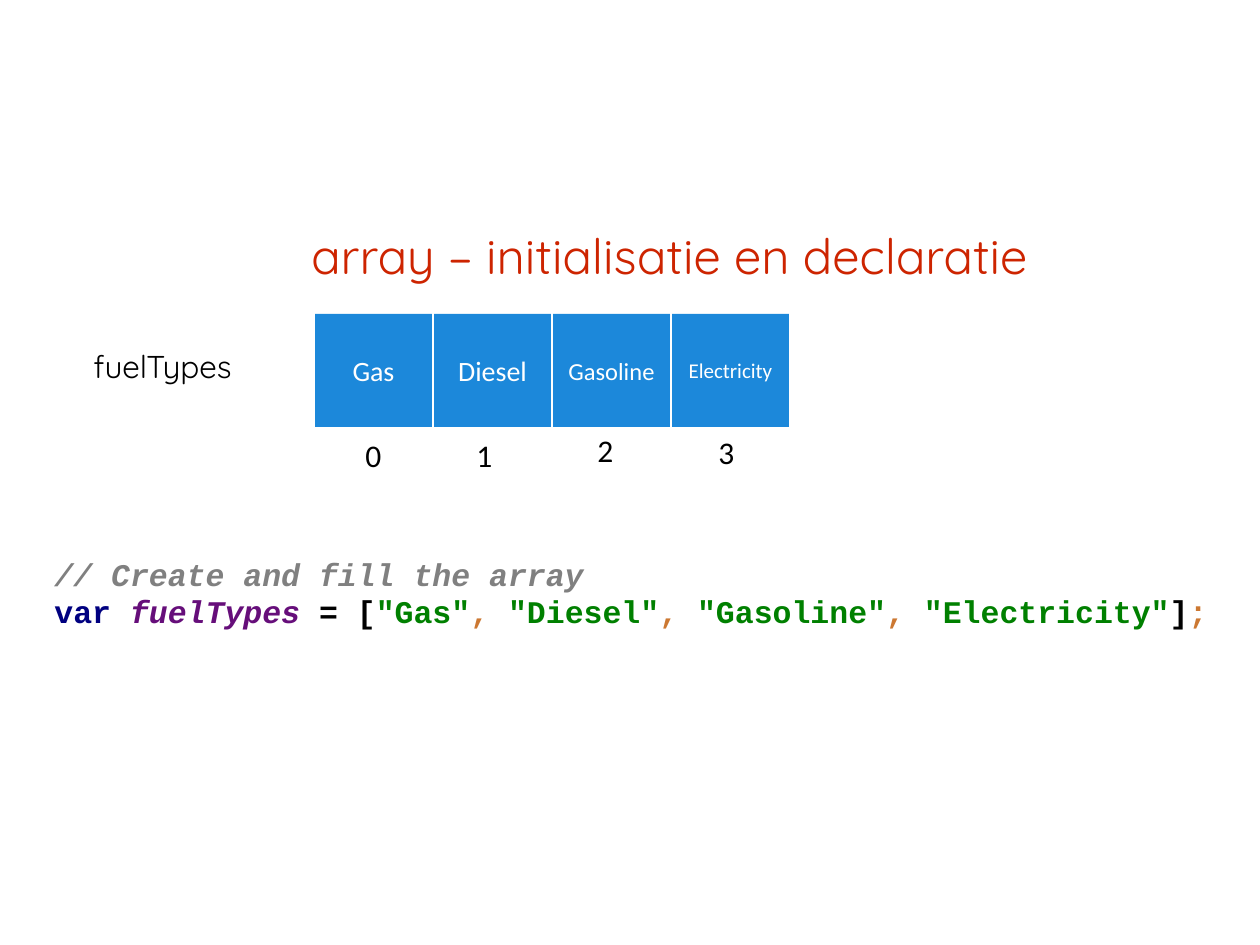
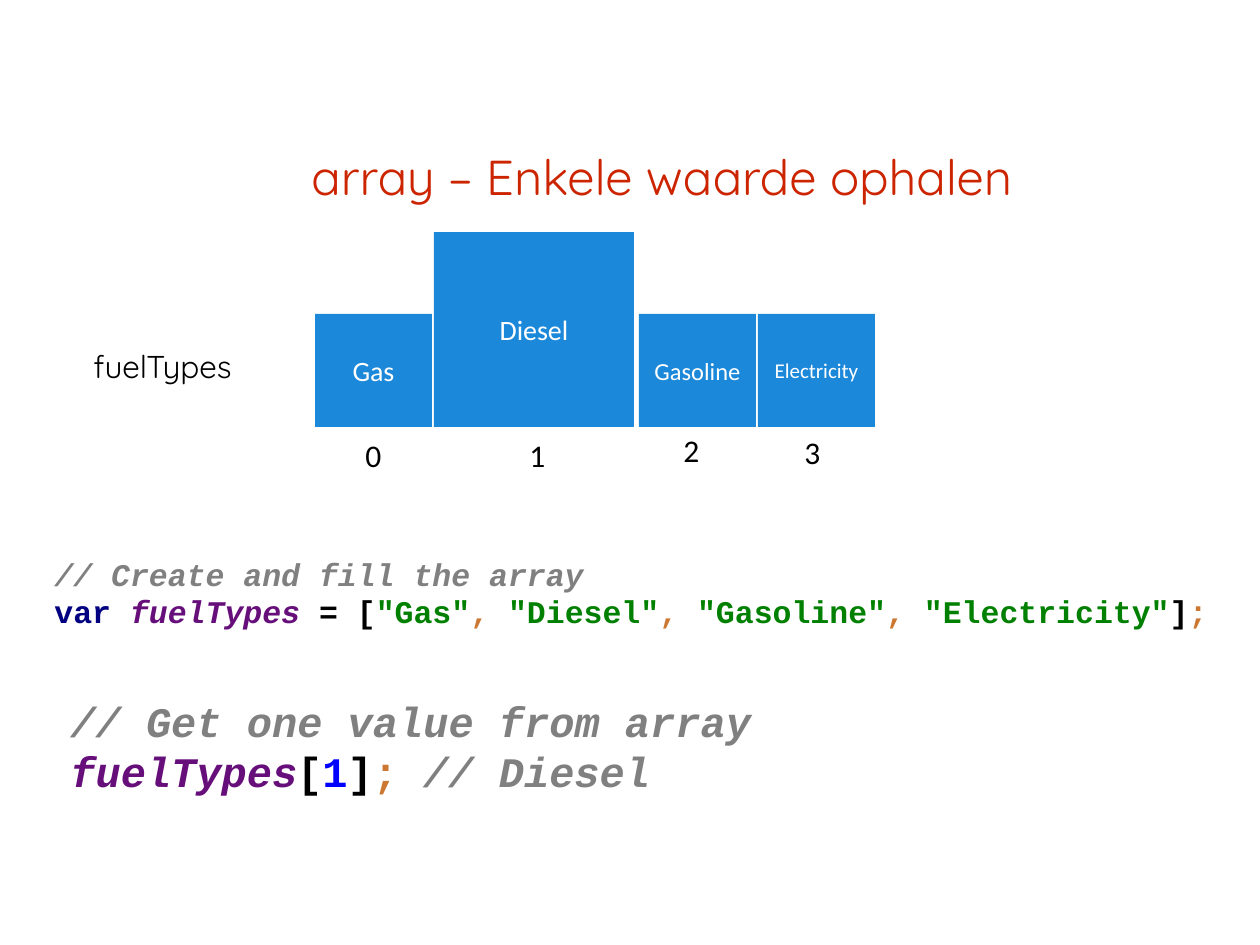
"""Build two slides on declaring an array and reading one of its values."""
from dataclasses import dataclass, replace
from typing import NamedTuple

from pptx import Presentation
from pptx.dml.color import RGBColor
from pptx.enum.shapes import MSO_SHAPE as Preset
from pptx.enum.text import MSO_ANCHOR as Anchor, MSO_AUTO_SIZE as AutoSize, PP_ALIGN as Align
from pptx.shapes.autoshape import Shape
from pptx.slide import Slide
from pptx.util import Emu, Pt

PIXEL = 914400 / 126
COLOURS = {
    "white": "FFFFFF", "black": "000000", "title": "CD2400", "cell": "1C88DA",
    "comment": "808080", "keyword": "000080", "variable": "660E7A",
    "string": "008000", "punctuation": "CC7832", "number": "0000FF",
}
ITALIC_COLOURS = ("comment", "variable")
ROW_LEFT, ROW_BOTTOM = 315, 427
INDEX_WIDTH, INDEX_HEIGHT = 42, 50


class Box(NamedTuple):
    left: int
    top: int
    width: int
    height: int


class Token(NamedTuple):
    text: str
    colour: str


@dataclass(frozen=True)
class Cell:
    value: str
    size: int
    index_offset: int
    index_top: int
    width: int = 117
    height: int = 113
    gap: int = 2


@dataclass(frozen=True)
class Code:
    box: Box
    size: int
    paragraphs: list[list[Token]]


@dataclass(frozen=True)
class ArraySlide:
    title: str
    title_box: Box
    cells: list[Cell]
    listings: list[Code]


GAS = Cell("Gas", 16, 38, 430)
DIESEL = Cell("Diesel", 16, 30, 430)
GASOLINE = Cell("Gasoline", 14, 32, 425)
ELECTRICITY = Cell("Electricity", 12, 34, 427)
CHOSEN_DIESEL = replace(DIESEL, width=200, height=195, gap=5, index_offset=83)

COMMA = Token(", ", "punctuation")
END = [Token("]", "black"), Token("; ", "punctuation")]
DECLARATION = Code(Box(42, 548, 1203, 89), 18, [[
    Token("// Create and fill the array", "comment"), Token("\n", "comment"),
    Token("var ", "keyword"), Token("fuelTypes ", "variable"), Token("= [", "black"),
    Token('"Gas"', "string"), COMMA, Token('"Diesel"', "string"), COMMA,
    Token('"Gasoline"', "string"), COMMA, Token('"Electricity"', "string"), *END,
]])
LOOKUP = Code(Box(58, 688, 712, 115), 24, [
    [Token("// Get one value from array", "comment")],
    [Token("fuelTypes", "variable"), Token("[", "black"), Token("1", "number"),
     *END, Token("// Diesel", "comment")],
])
SLIDES = [
    ArraySlide("array – initialisatie en declaratie", Box(299, 219, 782, 72),
               [GAS, DIESEL, GASOLINE, ELECTRICITY], [DECLARATION]),
    ArraySlide("array – Enkele waarde ophalen", Box(299, 140, 777, 72),
               [GAS, CHOSEN_DIESEL, GASOLINE, ELECTRICITY], [LOOKUP, DECLARATION]),
]


def px(length: float) -> Emu:
    """Turn picture pixels into EMU."""
    return Emu(round(length * PIXEL))


def rgb(colour: str) -> RGBColor:
    """Look up a named colour."""
    return RGBColor.from_string(COLOURS[colour])


def apply(target: object, values: dict[str, object]) -> None:
    """Set each named format value on the target."""
    for name, value in values.items():
        setattr(target, name, value)


def add_run(paragraph, text: str, font: str, size: int, colour: str, **style: bool) -> None:
    """Append one formatted run."""
    run = paragraph.add_run()
    run.text = text
    apply(run.font, {"name": font, "size": Pt(size), **style})
    run.font.color.rgb = rgb(colour)


def add_label(slide: Slide, box: Box, text: str, font: str, size: int, colour: str) -> None:
    """Add a single line of free text."""
    frame = slide.shapes.add_textbox(*map(px, box)).text_frame
    apply(frame, {"word_wrap": False, "auto_size": AutoSize.SHAPE_TO_FIT_TEXT})
    add_run(frame.paragraphs[0], text, font, size, colour)


def add_panel(slide: Slide, box: Box, fill: str) -> Shape:
    """Add a flat rectangle without outline."""
    panel = slide.shapes.add_shape(Preset.RECTANGLE, *map(px, box))
    panel.shadow.inherit = False
    panel.fill.solid()
    panel.fill.fore_color.rgb = rgb(fill)
    panel.line.fill.background()
    panel.text_frame.vertical_anchor = Anchor.MIDDLE
    return panel


def add_cells(slide: Slide, cells: list[Cell]) -> None:
    """Draw the array cells from left to right with their indices."""
    left = ROW_LEFT
    for index, cell in enumerate(cells):
        box = Box(left, ROW_BOTTOM - cell.height, cell.width, cell.height)
        value = add_panel(slide, box, "cell").text_frame.paragraphs[0]
        value.alignment = Align.CENTER
        add_run(value, cell.value, "Calibri", cell.size, "white")
        index_box = Box(left + cell.index_offset, cell.index_top, INDEX_WIDTH, INDEX_HEIGHT)
        add_label(slide, index_box, str(index), "Calibri", 18, "black")
        left += cell.width + cell.gap


def add_code(slide: Slide, code: Code) -> None:
    """Draw a syntax-coloured listing."""
    frame = add_panel(slide, code.box, "white").text_frame
    apply(frame, {"word_wrap": False, "auto_size": AutoSize.SHAPE_TO_FIT_TEXT})
    for number, tokens in enumerate(code.paragraphs):
        paragraph = frame.add_paragraph() if number else frame.paragraphs[0]
        paragraph.alignment = Align.LEFT
        for token in tokens:
            if token.text == "\n":
                paragraph.add_line_break()
            else:
                add_run(paragraph, token.text, "Courier New", code.size, token.colour,
                        bold=True, italic=token.colour in ITALIC_COLOURS)


def build() -> None:
    """Build and save the presentation."""
    deck = Presentation()
    apply(deck, {"slide_width": px(1260), "slide_height": px(945)})
    for content in SLIDES:
        slide = deck.slides.add_slide(deck.slide_layouts[6])
        add_label(slide, content.title_box, content.title, "Quicksand", 28, "title")
        add_label(slide, Box(81, 341, 168, 50), "fuelTypes", "Quicksand", 18, "black")
        add_cells(slide, content.cells)
        for code in content.listings:
            add_code(slide, code)
    deck.save("out.pptx")


build()
